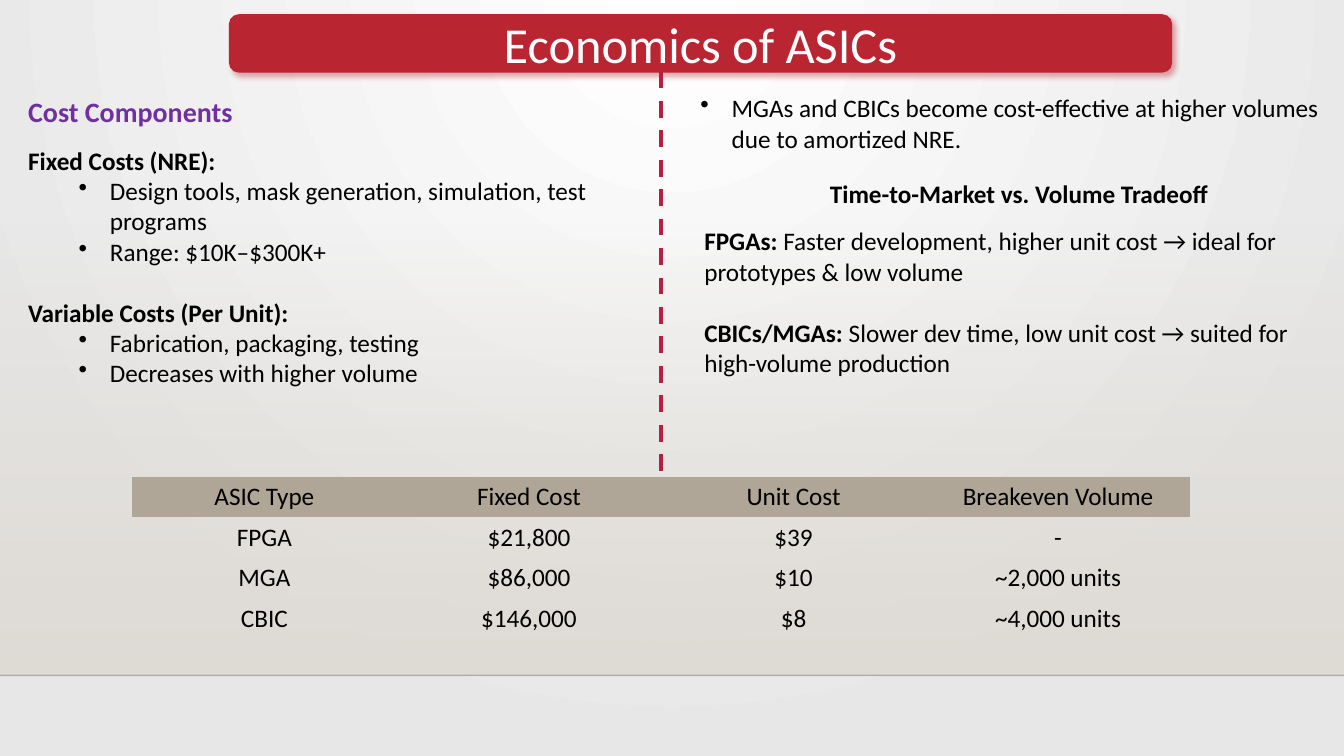
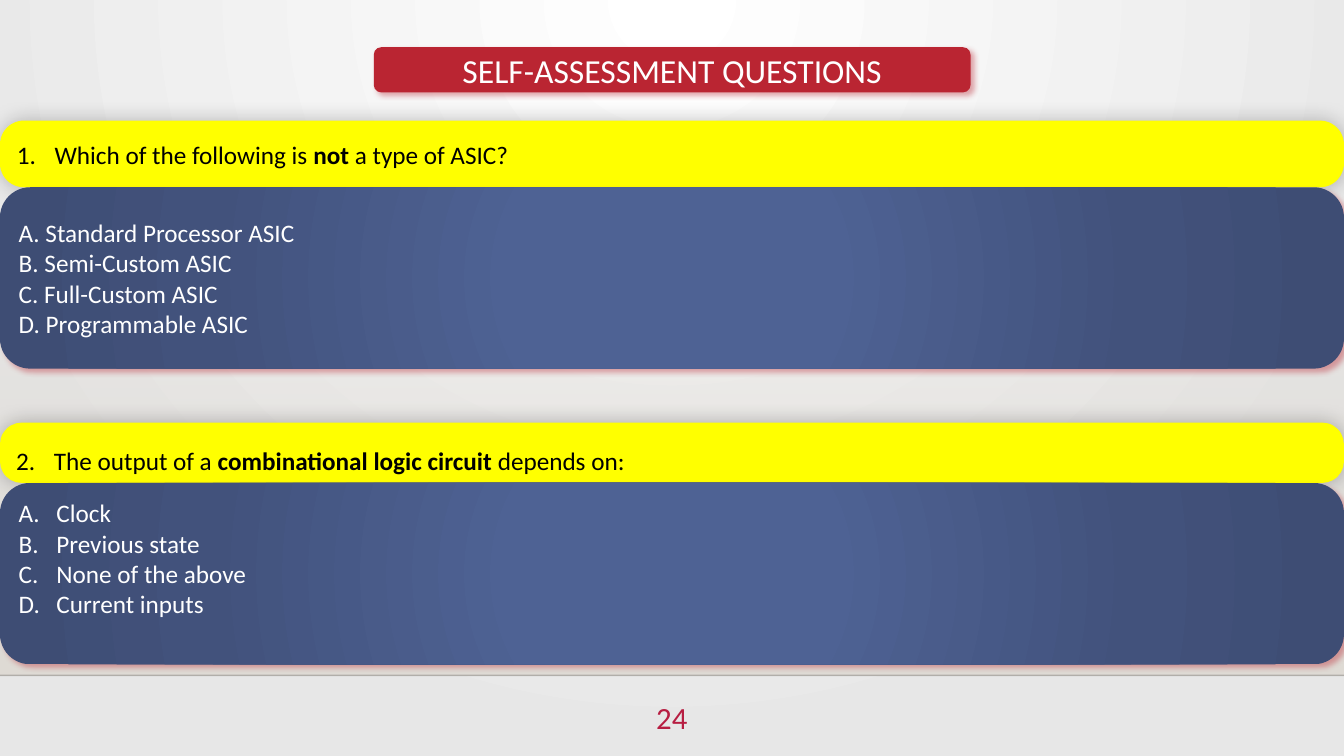
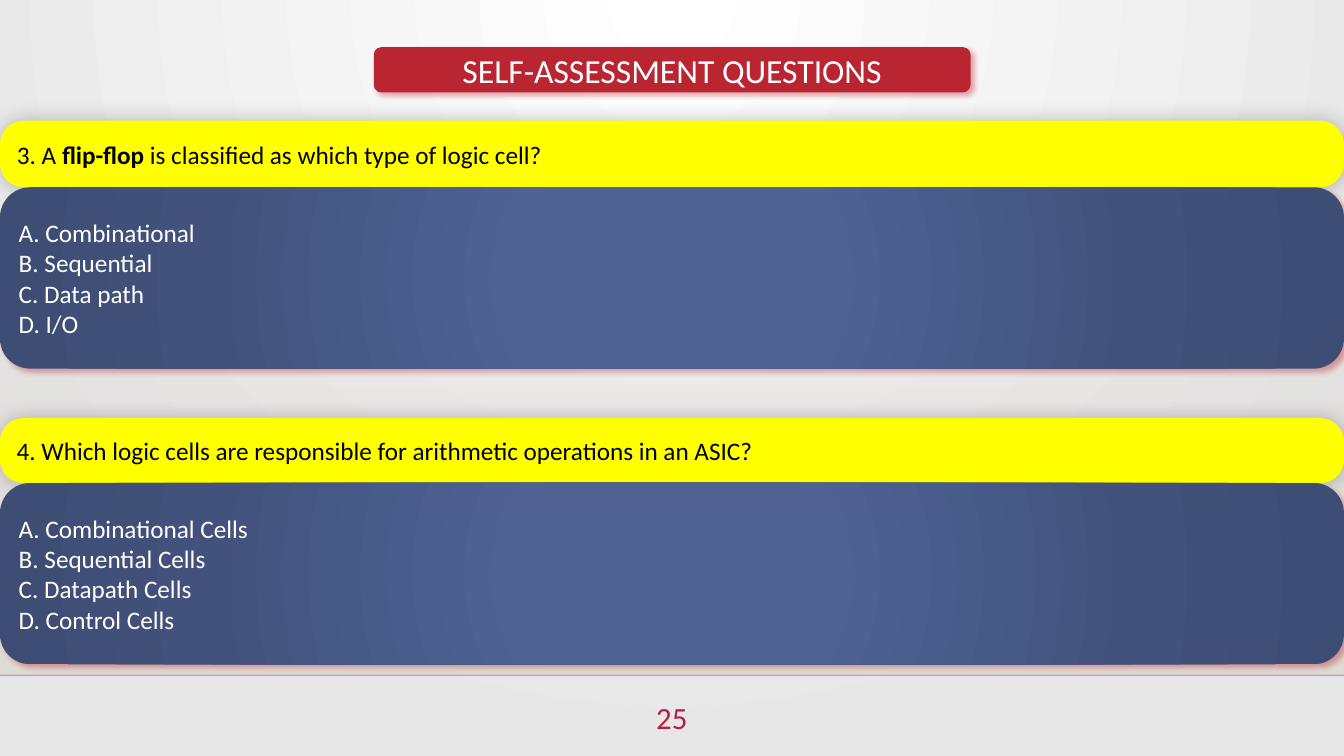
import pptx
import pptx.dml.color
import pptx.enum.dml
import pptx.enum.shapes
import pptx.enum.text
import pptx.oxml
import pptx.oxml.ns
import pptx.util

Cm, Pt = pptx.util.Cm, pptx.util.Pt
Rgb = pptx.dml.color.RGBColor.from_string
Kind = pptx.enum.shapes.MSO_SHAPE
Align = pptx.enum.text.PP_ALIGN
Anchor = pptx.enum.text.MSO_ANCHOR


class Theme:
    font = "Calibri"
    wide, high = 33.87, 19.05
    white, black = "FFFFFF", "000000"
    red, rose, violet = "BA2532", "B71E42", "7030A0"
    yellow, head, rule = "FFFF00", "B0A697", "000001"
    # gradient stops: position, colour, opacity (all in percent)
    back = [(0, "FFFFFF", 100), (100, "E7E7E7", 100)]
    band = [(0, "DFDBD5", 0), (100, "DFDBD5", 100)]
    navy = [(0, "4E6294", 100), (23, "4E6294", 100),
            (69, "42527C", 100), (97, "3E4D74", 100)]
    # shadows: colour, opacity, blur, distance, angle
    glow = (red, 40, 4, 3, 45)
    haze = (black, 25, 15, 0, 0)
    body, topic, quiz, title, page = 18, 20, 24, 36, 22
    small_gap, gap = 12.2, 22


def node(tag, inner="", **attrs):
    """Build one drawing element from its tag, inner XML and attributes."""
    text = "".join(f' {key}="{value}"' for key, value in attrs.items())
    space = pptx.oxml.ns.nsdecls("a")
    return pptx.oxml.parse_xml(f"<a:{tag} {space}{text}>{inner}</a:{tag}>")


def tint(color, alpha):
    return f'<a:srgbClr val="{color}"><a:alpha val="{alpha * 1000}"/></a:srgbClr>'


def blend(fill, root, stops, focus=None):
    """Fill with a gradient: circular round focus (l, t, r, b), else downward."""
    fill.gradient()
    grad = root.xpath(".//a:gradFill")[0]
    for child in list(grad):
        grad.remove(child)
    grad.append(node("gsLst", "".join(
        f'<a:gs pos="{pos * 1000}">{tint(color, alpha)}</a:gs>'
        for pos, color, alpha in stops)))
    if focus:
        sides = " ".join(f'{side}="{val * 1000}"' for side, val in zip("ltrb", focus))
        grad.append(node("path", f"<a:fillToRect {sides}/>", path="circle"))
    else:
        grad.append(node("lin", ang=90 * 60000, scaled=0))


class Deck:
    def __init__(self, theme):
        self.theme = theme
        self.prs = pptx.Presentation()
        self.prs.slide_width, self.prs.slide_height = Cm(theme.wide), Cm(theme.high)
        self.slide = None

    def start(self):
        self.slide = self.prs.slides.add_slide(self.prs.slide_layouts[6])

    def master(self):
        """Put the background, floor band and rule on the slide master."""
        theme, master = self.theme, self.prs.slide_master
        blend(master.background.fill, master.element, theme.back, (43, 0, 43, 100))
        top, base = 5.61, 17.02
        band = self.shape(Kind.RECTANGLE, 0, top, theme.wide, base - top, theme.band)
        rule = self.line(0, base, theme.wide, base, theme.rule, 1)
        rule.element.xpath(".//a:ln//a:srgbClr")[0].append(node("alpha", val=20000))
        for number, part in enumerate((band, rule), 101):
            part.element.xpath(".//p:cNvPr")[0].set("id", str(number))
            master.shapes.element.append(part.element)

    def shape(self, kind, x, y, w, h, fill, shadow=None, focus=None):
        item = self.slide.shapes.add_shape(kind, Cm(x), Cm(y), Cm(w), Cm(h))
        if isinstance(fill, str):
            item.fill.solid()
            item.fill.fore_color.rgb = Rgb(fill)
        else:
            blend(item.fill, item.element, fill, focus)
        item.line.fill.background()
        item.shadow.inherit = False
        if shadow:
            color, alpha, blur, dist, angle = shadow
            item.element.xpath(".//a:effectLst")[0].append(node(
                "outerShdw", tint(color, alpha), blurRad=Pt(blur), dist=Pt(dist),
                dir=angle * 60000, algn="ctr", rotWithShape=0))
        item.text_frame.word_wrap = True
        item.text_frame.vertical_anchor = Anchor.MIDDLE
        return item

    def line(self, x1, y1, x2, y2, color, width):
        item = self.slide.shapes.add_connector(
            pptx.enum.shapes.MSO_CONNECTOR.STRAIGHT, Cm(x1), Cm(y1), Cm(x2), Cm(y2))
        item.line.color.rgb = Rgb(color)
        item.line.width = Pt(width)
        item.element.spPr.append(node("effectLst"))
        return item

    def box(self, x, y, w, h):
        frame = self.slide.shapes.add_textbox(Cm(x), Cm(y), Cm(w), Cm(h)).text_frame
        frame.word_wrap = True
        return frame

    def para(self, frame, *runs, bold=None, size=None, color=None, align=Align.LEFT,
             before=0, mark=None, left=0, hang=0):
        """Add a paragraph; bold is the index of the bold run, mark a bullet node."""
        first = frame.paragraphs[0]
        par = frame.add_paragraph() if first.runs else first
        if mark is not None:
            props = par._p.get_or_add_pPr()
            props.set("marL", str(Cm(left)))
            props.set("indent", str(-Cm(hang)))
            props.append(mark)
        par.alignment = align
        if before:
            par.space_before = Pt(before)
        for index, text in enumerate(runs):
            run = par.add_run()
            run.text = text
            run.font.name = self.theme.font
            run.font.size = Pt(size or self.theme.body)
            run.font.bold = index == bold
            run.font.color.rgb = Rgb(color or self.theme.black)
        return par

    def dot(self, frame, text, left):
        self.para(frame, text, mark=node("buChar", char="•"), left=left, hang=0.79)

    def title(self, text, x, y, w, h, size):
        plate = self.shape(Kind.ROUNDED_RECTANGLE, x, y, w, h,
                           self.theme.red, self.theme.glow)
        self.para(plate.text_frame, text, size=size, color=self.theme.white,
                  align=Align.CENTER)

    def table(self, x, y, w, row, rows):
        cols = len(rows[0])
        item = self.slide.shapes.add_table(
            len(rows), cols, Cm(x), Cm(y), Cm(w), Cm(row * len(rows)))
        grid = item.table
        grid.first_row = grid.horz_banding = False
        plain = "{2D5ABB26-0587-4C30-8999-92F81FD0307C}"
        item.element.xpath(".//a:tableStyleId")[0].text = plain
        for r, texts in enumerate(rows):
            for c, text in enumerate(texts):
                cell = grid.cell(r, c)
                cell.vertical_anchor = Anchor.MIDDLE
                if r == 0:
                    cell.fill.solid()
                    cell.fill.fore_color.rgb = Rgb(self.theme.head)
                else:
                    cell.fill.background()
                self.para(cell.text_frame, text, align=Align.CENTER)

    def quiz(self, slot, ask, picks, high, bold=None, first=None):
        """Question bar resting on its answers; first numbers both as lists."""
        theme = self.theme
        top = 4.72 + 7.45 * slot
        bar = self.shape(Kind.ROUNDED_RECTANGLE, 0, top - high, theme.wide, high,
                         theme.yellow, theme.haze)
        bar.adjustments[0] = 0.36
        mark = first and node("buAutoNum", type="arabicPeriod", startAt=first)
        ask_par = self.para(bar.text_frame, *ask, bold=bold, mark=mark,
                            left=0.95, hang=0.95)
        panel = self.shape(Kind.ROUNDED_RECTANGLE, 0, top, theme.wide, 4.57,
                           theme.navy, theme.glow, (50, 50, 50, 50))
        for pick in picks:
            self.para(panel.text_frame, pick, color=theme.white)
        return ask_par, panel.text_frame

    def number(self, text):
        self.para(self.box(15.8, 17.48, 2.26, 1.4), text, size=self.theme.page,
                  color=self.theme.rose, align=Align.CENTER)


def costs(deck):
    theme = deck.theme
    deck.title("Economics of ASICs", 5.77, 0.36, 23.77, 1.47, theme.title)
    split = deck.line(16.66, 1.8, 16.66, 12.55, theme.rose, 3)
    split.line.dash_style = pptx.enum.dml.MSO_LINE.DASH

    parts = deck.box(0.46, 2.26, 16.94, 7.7)
    parts.margin_right = Cm(0.9)
    deck.para(parts, "Cost Components", bold=0, size=theme.topic, color=theme.violet)
    groups = [
        ("Fixed Costs (NRE):", theme.small_gap,
         ["Design tools, mask generation, simulation, test programs",
          "Range: $10K–$300K+"]),
        ("Variable Costs (Per Unit):", theme.gap,
         ["Fabrication, packaging, testing", "Decreases with higher volume"]),
    ]
    for head, before, items in groups:
        deck.para(parts, head, bold=0, before=before)
        for item in items:
            deck.dot(parts, item, 2.06)

    deck.table(3.33, 12.01, 26.67, 1.02, [
        ("ASIC Type", "Fixed Cost", "Unit Cost", "Breakeven Volume"),
        ("FPGA", "$21,800", "$39", "-"),
        ("MGA", "$86,000", "$10", "~2,000 units"),
        ("CBIC", "$146,000", "$8", "~4,000 units"),
    ])

    deck.dot(deck.box(17.4, 2.21, 16.36, 1.8),
             "MGAs and CBICs become cost-effective at higher volumes "
             "due to amortized NRE.", 0.79)
    trade = deck.box(17.5, 4.37, 16.36, 5.31)
    deck.para(trade, "Time-to-Market vs. Volume Tradeoff", bold=0, align=Align.CENTER)
    deck.para(trade, "FPGAs: ", "Faster development, higher unit cost → ideal for "
              "prototypes & low volume", bold=0, before=theme.small_gap)
    deck.para(trade, "CBICs/MGAs: ", "Slower dev time, low unit cost → suited for "
              "high-volume production", bold=0, before=theme.gap)


def test(deck, page):
    deck.title("SELF-ASSESSMENT QUESTIONS", 9.42, 1.19, 15.04, 1.14, deck.theme.quiz)
    deck.number(page)


def types(deck):
    test(deck, "24")
    deck.quiz(0, ["Which of the following is ", "not", " a type of ASIC?"],
              ["A. Standard Processor ASIC", "B. Semi-Custom ASIC",
               "C. Full-Custom ASIC", "D. Programmable ASIC"],
              1.68, bold=1, first=1)
    ask, panel = deck.quiz(
        1, ["The output of a ", "combinational logic circuit", " depends on:"],
        [], 1.52, bold=1, first=2)
    ask.line_spacing = 1.5
    panel.margin_bottom = Cm(0.9)
    for pick in ("Clock", "Previous state", "None of the above", "Current inputs"):
        deck.para(panel, pick, color=deck.theme.white, left=0.95, hang=0.95,
                  mark=node("buAutoNum", type="alphaUcPeriod"))


def cells(deck):
    test(deck, "25")
    deck.quiz(0, ["3. A ", "flip-flop", " is classified as which type of logic cell?"],
              ["A. Combinational", "B. Sequential", "C. Data path", "D. I/O"],
              1.68, bold=1)
    deck.quiz(1, ["4. Which logic cells are responsible for arithmetic operations "
                  "in an ASIC?"],
              ["A. Combinational Cells", "B. Sequential Cells",
               "C. Datapath Cells", "D. Control Cells"], 1.63)


def main():
    deck = Deck(Theme)
    for index, build in enumerate((costs, types, cells)):
        deck.start()
        if index == 0:
            deck.master()
        build(deck)
    deck.prs.save("out.pptx")


if __name__ == "__main__":
    main()
